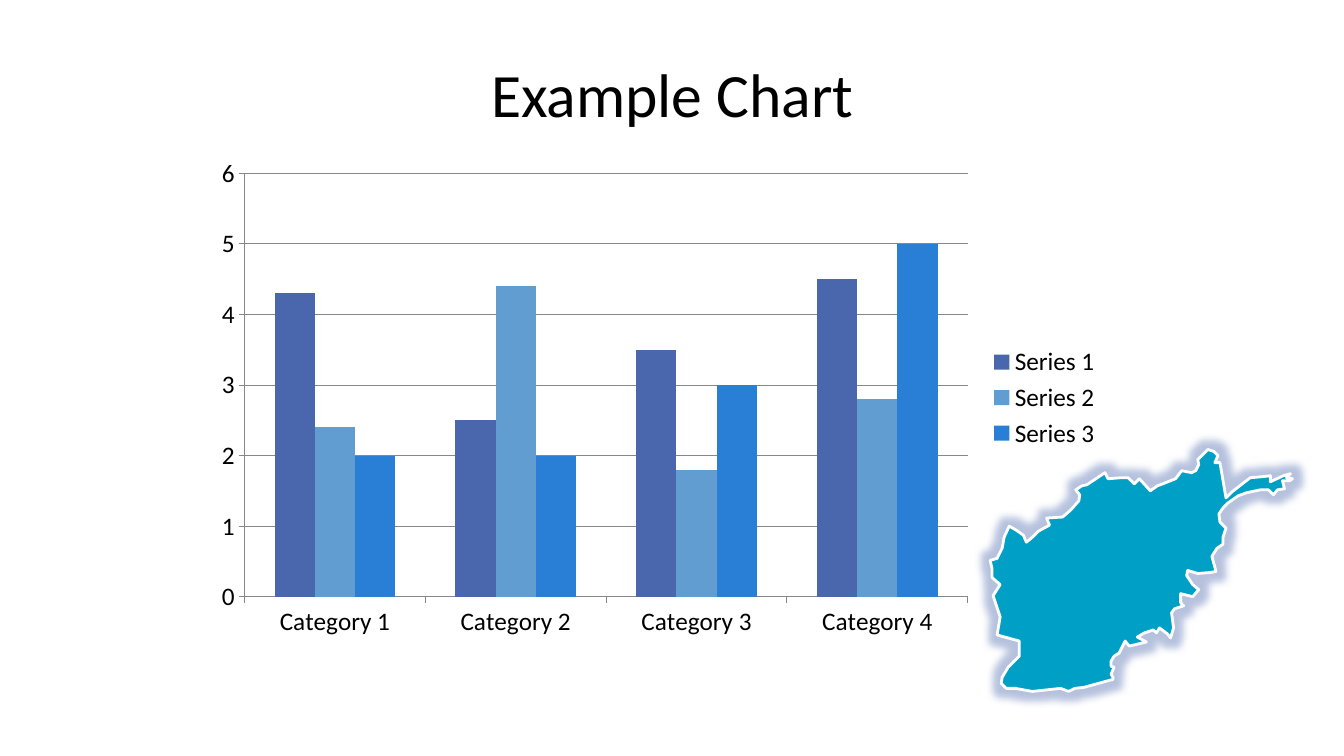
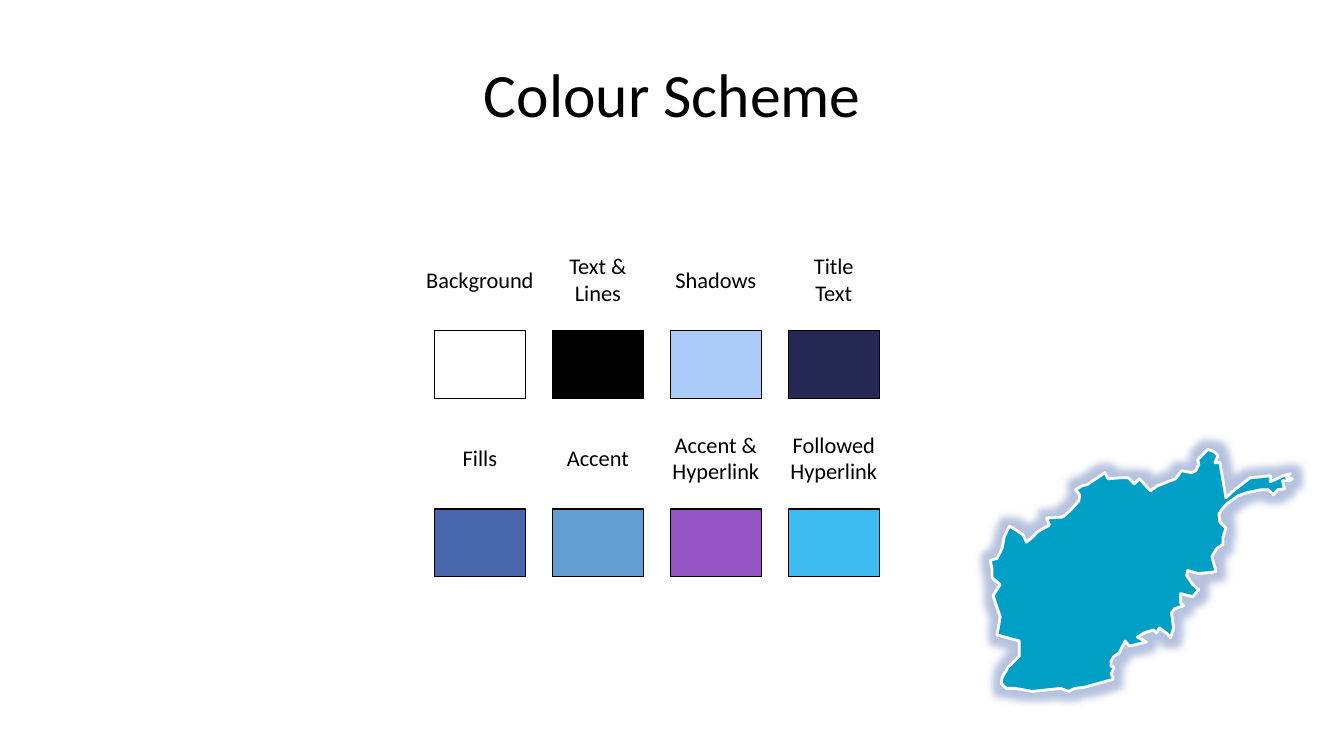
from dataclasses import dataclass

import pptx
import pptx.chart.data
import pptx.dml.color
import pptx.enum.chart
import pptx.enum.shapes
import pptx.enum.text
import pptx.oxml
import pptx.oxml.ns
import pptx.util
from pptx.util import Inches

# Shared style
FONT = "Calibri"
BLACK = "000000"
WHITE = "FFFFFF"
MAP_FILL = "00A0C6"
GLOW = "4A66AC"
AXIS = "878787"

# Map outline in inches on the slide
MAP_OUTLINE = [
    (9.85, 5.91), (9.92, 6.12), (9.89, 6.3), (10.11, 6.36), (10.11, 6.51),
    (10, 6.62), (9.94, 6.72), (9.93, 6.78), (9.98, 6.83), (10.07, 6.83),
    (10.24, 6.86), (10.52, 6.83), (10.6, 6.86), (10.66, 6.83), (10.75, 6.82),
    (11.04, 6.74), (11.04, 6.72), (11.02, 6.69), (11.05, 6.62), (11.02, 6.61),
    (11.02, 6.56), (11.05, 6.51), (11.1, 6.48), (11.16, 6.36), (11.2, 6.41),
    (11.37, 6.37), (11.28, 6.32), (11.35, 6.28), (11.44, 6.25), (11.47, 6.28),
    (11.5, 6.23), (11.58, 6.29), (11.61, 6.33), (11.64, 6.23), (11.62, 6.08),
    (11.65, 6.04), (11.74, 6.01), (11.71, 5.98), (11.71, 5.89), (11.83, 5.92),
    (11.89, 5.85), (11.83, 5.8), (11.77, 5.71), (11.78, 5.66), (11.88, 5.69),
    (12.01, 5.68), (12.06, 5.67), (12.05, 5.63), (12.02, 5.52), (12.07, 5.44),
    (12.13, 5.4), (12.13, 5.33), (12.16, 5.24), (12.1, 5.18), (12.09, 5.1),
    (12.13, 5.04), (12.18, 4.99), (12.28, 4.92), (12.36, 4.89), (12.5, 4.86),
    (12.58, 4.86), (12.63, 4.91), (12.67, 4.86), (12.74, 4.85), (12.72, 4.77),
    (12.79, 4.77), (12.82, 4.75), (12.76, 4.74), (12.8, 4.7), (12.73, 4.72),
    (12.6, 4.78), (12.6, 4.72), (12.52, 4.73), (12.4, 4.74), (12.22, 4.88),
    (12.16, 4.94), (12.1, 4.59), (12.05, 4.59), (12.08, 4.52), (12.04, 4.48),
    (11.98, 4.46), (11.88, 4.56), (11.89, 4.61), (11.86, 4.67), (11.82, 4.69),
    (11.72, 4.67), (11.66, 4.75), (11.56, 4.79), (11.48, 4.82), (11.41, 4.87),
    (11.31, 4.76), (11.3, 4.75), (11.25, 4.8), (11.19, 4.74), (11.12, 4.74),
    (10.99, 4.75), (10.96, 4.69), (10.81, 4.79), (10.78, 4.81), (10.73, 4.82),
    (10.67, 4.86), (10.71, 4.91), (10.7, 4.97), (10.62, 5.06), (10.54, 5.13),
    (10.38, 5.14), (10.41, 5.21), (10.3, 5.27), (10.24, 5.33), (10.18, 5.38),
    (10.15, 5.31), (10.08, 5.26), (10.01, 5.22), (9.96, 5.33), (9.94, 5.44),
    (9.89, 5.54), (9.82, 5.56), (9.84, 5.64), (9.84, 5.73), (9.92, 5.8),
]


@dataclass(frozen=True)
class Swatch:
    label: str
    color: str


@dataclass(frozen=True)
class Series:
    name: str
    values: tuple[float, ...]
    color: str


SWATCH_ROWS = [
    [Swatch("Background", WHITE), Swatch("Text &\nLines", BLACK),
     Swatch("Shadows", "ACCBF9"), Swatch("Title\vText", "242852")],
    [Swatch("Fills", "4A66AC"), Swatch("Accent", "629DD1"),
     Swatch("Accent &\nHyperlink", "9454C3"),
     Swatch("Followed\nHyperlink", "3EBBF0")],
]
CATEGORIES = ["Category 1", "Category 2", "Category 3", "Category 4"]
SERIES = [
    Series("Series 1", (4.3, 2.5, 3.5, 4.5), "4A66AC"),
    Series("Series 2", (2.4, 4.4, 1.8, 2.8), "629DD1"),
    Series("Series 3", (2, 2, 3, 5), "297FD5"),
]


def rgb(color: str) -> pptx.dml.color.RGBColor:
    return pptx.dml.color.RGBColor.from_string(color)


def paint(sp, fill: str, line: str, width: float) -> None:
    sp.shadow.inherit = False
    sp.fill.solid()
    sp.fill.fore_color.rgb = rgb(fill)
    sp.line.color.rgb = rgb(line)
    sp.line.width = pptx.util.Pt(width)


def add_text(s, text: str, left: float, top: float, width: float,
             height: float, size: float) -> None:
    sp = s.shapes.add_textbox(Inches(left), Inches(top),
                              Inches(width), Inches(height))
    tf = sp.text_frame
    tf.word_wrap = True
    tf.margin_left = tf.margin_right = 0
    tf.vertical_anchor = pptx.enum.text.MSO_ANCHOR.MIDDLE
    tf.text = text
    for p in tf.paragraphs:
        p.alignment = pptx.enum.text.PP_ALIGN.CENTER
        for r in p.runs:
            r.font.name = FONT
            r.font.size = pptx.util.Pt(size)
            r.font.color.rgb = rgb(BLACK)


def add_map(s) -> None:
    points = [(Inches(x), Inches(y)) for x, y in MAP_OUTLINE]
    builder = s.shapes.build_freeform(*points[0])
    builder.add_line_segments(points[1:], close=True)
    sp = builder.convert_to_shape()
    paint(sp, MAP_FILL, WHITE, 2)
    # Soft halo around the outline
    effects = sp._element.spPr.find(pptx.oxml.ns.qn("a:effectLst"))
    effects.append(pptx.oxml.parse_xml(
        f'<a:glow {pptx.oxml.ns.nsdecls("a")} rad="139700">'
        f'<a:srgbClr val="{GLOW}"><a:alpha val="40000"/></a:srgbClr></a:glow>'))


def add_base_slide(prs, title: str):
    s = prs.slides.add_slide(prs.slide_layouts[6])
    s.background.fill.solid()
    s.background.fill.fore_color.rgb = rgb(WHITE)
    add_map(s)
    add_text(s, title, 0.67, 0.3, 12, 1.25, 44)
    return s


def add_column_chart(s) -> None:
    data = pptx.chart.data.CategoryChartData()
    data.categories = CATEGORIES
    for series in SERIES:
        data.add_series(series.name, series.values)
    chart = s.shapes.add_chart(
        pptx.enum.chart.XL_CHART_TYPE.COLUMN_CLUSTERED,
        Inches(2.02), Inches(1.47), Inches(9), Inches(4.95), data).chart
    chart.has_title = False
    chart.font.name = FONT
    chart.font.size = pptx.util.Pt(18)
    chart.font.color.rgb = rgb(BLACK)
    chart.has_legend = True
    chart.legend.position = pptx.enum.chart.XL_LEGEND_POSITION.RIGHT
    chart.legend.include_in_layout = False

    plot = chart.plots[0]
    plot.gap_width = 150
    plot.overlap = 0
    plot.vary_by_categories = False
    for bars, series in zip(plot.series, SERIES):
        bars.format.fill.solid()
        bars.format.fill.fore_color.rgb = rgb(series.color)

    for axis in (chart.category_axis, chart.value_axis):
        axis.major_tick_mark = pptx.enum.chart.XL_TICK_MARK.OUTSIDE
        axis.format.line.color.rgb = rgb(AXIS)
    axis = chart.value_axis
    axis.minimum_scale, axis.maximum_scale, axis.major_unit = 0, 6, 1
    axis.has_major_gridlines = True
    axis.major_gridlines.format.line.color.rgb = rgb(AXIS)


def add_swatch(s, swatch: Swatch, left: float, top: float) -> None:
    width, column = 0.9, 1.17
    sp = s.shapes.add_shape(pptx.enum.shapes.MSO_SHAPE.RECTANGLE,
                            Inches(left), Inches(top),
                            Inches(width), Inches(0.67))
    paint(sp, swatch.color, BLACK, 0.75)
    add_text(s, swatch.label, left - (column - width) / 2, top - 0.83,
             column, 0.64, 16)


def main() -> None:
    prs = pptx.Presentation()
    prs.slide_width, prs.slide_height = Inches(13.33), Inches(7.5)

    # Chart slide
    add_column_chart(add_base_slide(prs, "Example Chart"))

    # Colour slide
    s = add_base_slide(prs, "Colour Scheme")
    for row, swatches in enumerate(SWATCH_ROWS):
        for col, swatch in enumerate(swatches):
            add_swatch(s, swatch, 4.31 + 1.17 * col, 3.28 + 1.77 * row)

    prs.save("out.pptx")


if __name__ == "__main__":
    main()
